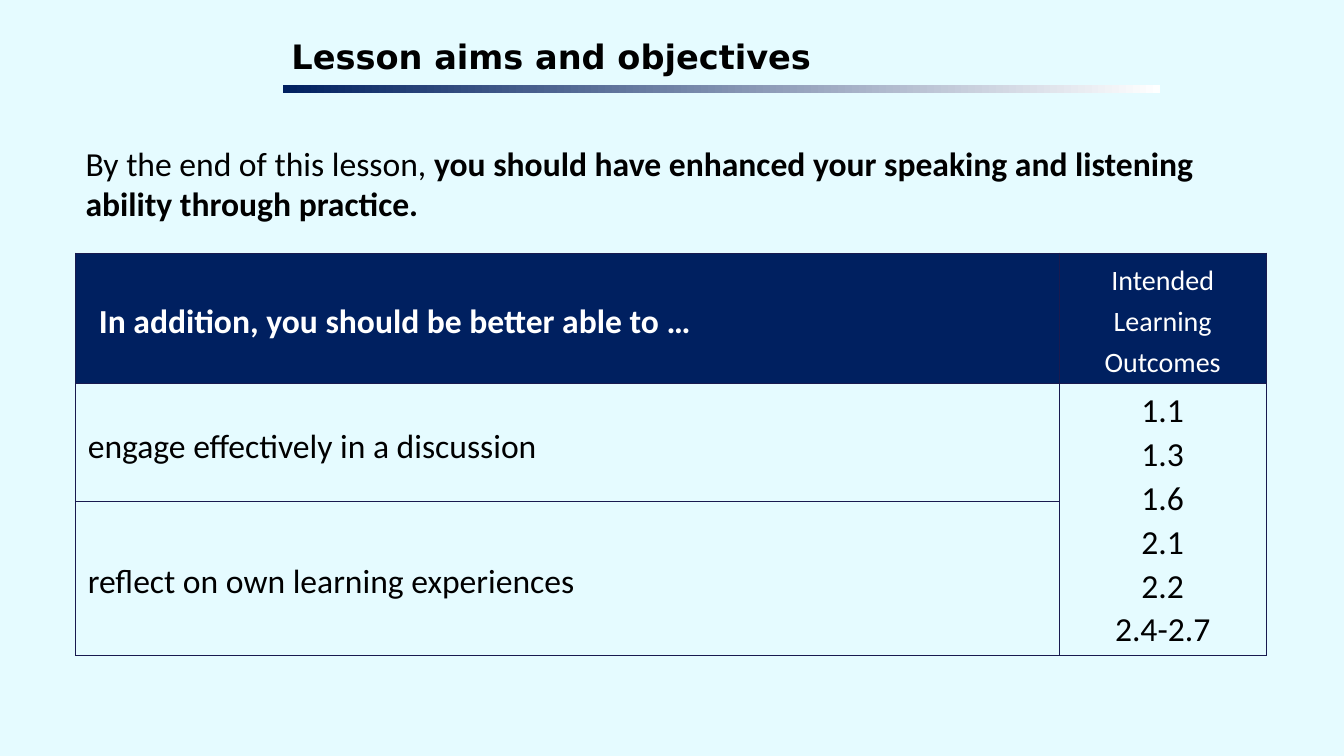
from dataclasses import dataclass

from lxml import etree
from pptx import Presentation
from pptx.dml.color import RGBColor
from pptx.enum.shapes import MSO_SHAPE
from pptx.enum.text import MSO_ANCHOR, PP_ALIGN
from pptx.oxml.ns import qn
from pptx.util import Pt

RECTANGLE = MSO_SHAPE.RECTANGLE
MIDDLE = MSO_ANCHOR.MIDDLE
LEFT, CENTER = PP_ALIGN.LEFT, PP_ALIGN.CENTER


@dataclass(frozen=True)
class Theme:
    background: str = "E5FBFF"
    navy: str = "002060"
    border: str = "191A4F"
    white: str = "FFFFFF"
    black: str = "000000"
    body_font: str = "Calibri"
    title_font: str = "DejaVu Sans"
    body_size: float = 24
    label_size: float = 20
    border_width: float = 0.5
    inset: float = 3


class SlideBuilder:
    def __init__(self, slide, theme):
        self.slide = slide
        self.theme = theme
        background = slide.background.fill
        background.solid()
        background.fore_color.rgb = RGBColor.from_string(theme.background)

    def set_insets(self, target):
        for side in ("left", "top", "right", "bottom"):
            setattr(target, f"margin_{side}", Pt(self.theme.inset))

    def add_run(self, paragraph, text, color=None, **font_format):
        run = paragraph.add_run()
        run.text = text
        values = {"name": self.theme.body_font, "size": Pt(self.theme.body_size), "bold": False}
        for name, value in (values | font_format).items():
            setattr(run.font, name, value)
        run.font.color.rgb = RGBColor.from_string(color or self.theme.black)

    def text_box(self, left, top, width, height):
        """Return the text frame of a new wrapping box."""
        box = self.slide.shapes.add_textbox(Pt(left), Pt(top), Pt(width), Pt(height))
        box.text_frame.word_wrap = True
        return box.text_frame

    def gradient_bar(self, left, top, width, height):
        bar = self.slide.shapes.add_shape(RECTANGLE, Pt(left), Pt(top), Pt(width), Pt(height))
        bar.shadow.inherit = False
        bar.line.fill.background()
        bar.fill.gradient()
        bar.fill.gradient_angle = 180
        for stop, color in zip(bar.fill.gradient_stops, (self.theme.white, self.theme.navy)):
            stop.color.rgb = RGBColor.from_string(color)

    def table(self, left, top, columns, rows):
        frame = self.slide.shapes.add_table(
            len(rows), len(columns), Pt(left), Pt(top), Pt(sum(columns)), Pt(sum(rows)))
        table = frame.table
        table.first_row = table.horz_banding = False
        for column, width in zip(table.columns, columns):
            column.width = Pt(width)
        for row, height in zip(table.rows, rows):
            row.height = Pt(height)
        for cell in table.iter_cells():
            cell.fill.background()
            self.add_borders(cell)
        return table

    def add_borders(self, cell):
        properties = cell._tc.get_or_add_tcPr()
        for position, side in enumerate(("lnL", "lnR", "lnT", "lnB")):
            line = etree.Element(qn(f"a:{side}"), w=str(Pt(self.theme.border_width)))
            fill = etree.SubElement(line, qn("a:solidFill"))
            etree.SubElement(fill, qn("a:srgbClr"), val=self.theme.border)
            properties.insert(position, line)

    def fill_cell(self, cell, lines, fill=None, indent=0, alignment=LEFT,
                  line_spacing=1.19, space_after=6, **run_format):
        self.set_insets(cell)
        cell.vertical_anchor = MIDDLE
        if fill:
            cell.fill.solid()
            cell.fill.fore_color.rgb = RGBColor.from_string(fill)
        paragraph_format = {"alignment": alignment, "line_spacing": line_spacing,
                            "space_after": Pt(space_after)}
        for index, text in enumerate(lines):
            frame = cell.text_frame
            paragraph = frame.add_paragraph() if index else frame.paragraphs[0]
            for name, value in paragraph_format.items():
                setattr(paragraph, name, value)
            if indent:
                paragraph._p.get_or_add_pPr().set("marL", str(Pt(indent)))
            self.add_run(paragraph, text, **run_format)


def main():
    presentation = Presentation()
    presentation.slide_width, presentation.slide_height = Pt(960), Pt(540)
    theme = Theme()
    builder = SlideBuilder(presentation.slides.add_slide(presentation.slide_layouts[6]), theme)

    table = builder.table(54, 180.72, columns=(702.72, 147.6), rows=(82.8, 84.24, 68.4))
    table.cell(1, 1).merge(table.cell(2, 1))
    header = {"fill": theme.navy, "color": theme.white}
    builder.fill_cell(table.cell(0, 0), ["In addition, you should be better able to …"],
                      indent=13.68, bold=True, **header)
    builder.fill_cell(table.cell(0, 1), ["Intended Learning Outcomes"],
                      alignment=CENTER, size=Pt(theme.label_size), **header)
    aims = ("engage effectively in a discussion", "reflect on own learning experiences")
    for row, aim in enumerate(aims, start=1):
        builder.fill_cell(table.cell(row, 0), [aim], indent=5.76)
    outcomes = ("1.1", "1.3", "1.6", "2.1", "2.2", "2.4-2.7")
    builder.fill_cell(table.cell(1, 1), outcomes, alignment=CENTER,
                      line_spacing=1.07, space_after=0)

    title = builder.text_box(205.2, 22.32, 623.52, 38.16)
    builder.set_insets(title)
    builder.add_run(title.paragraphs[0], "Lesson aims and objectives",
                    name=theme.title_font, bold=True)
    builder.gradient_bar(202.32, 60.48, 626.4, 5.76)

    introduction = builder.text_box(54, 98.64, 850.32, 65.52).paragraphs[0]
    builder.add_run(introduction, "By the end of this lesson, ")
    builder.add_run(introduction, "you should have enhanced your speaking and listening "
                    "ability through practice.", bold=True)

    presentation.save("out.pptx")


if __name__ == "__main__":
    main()
